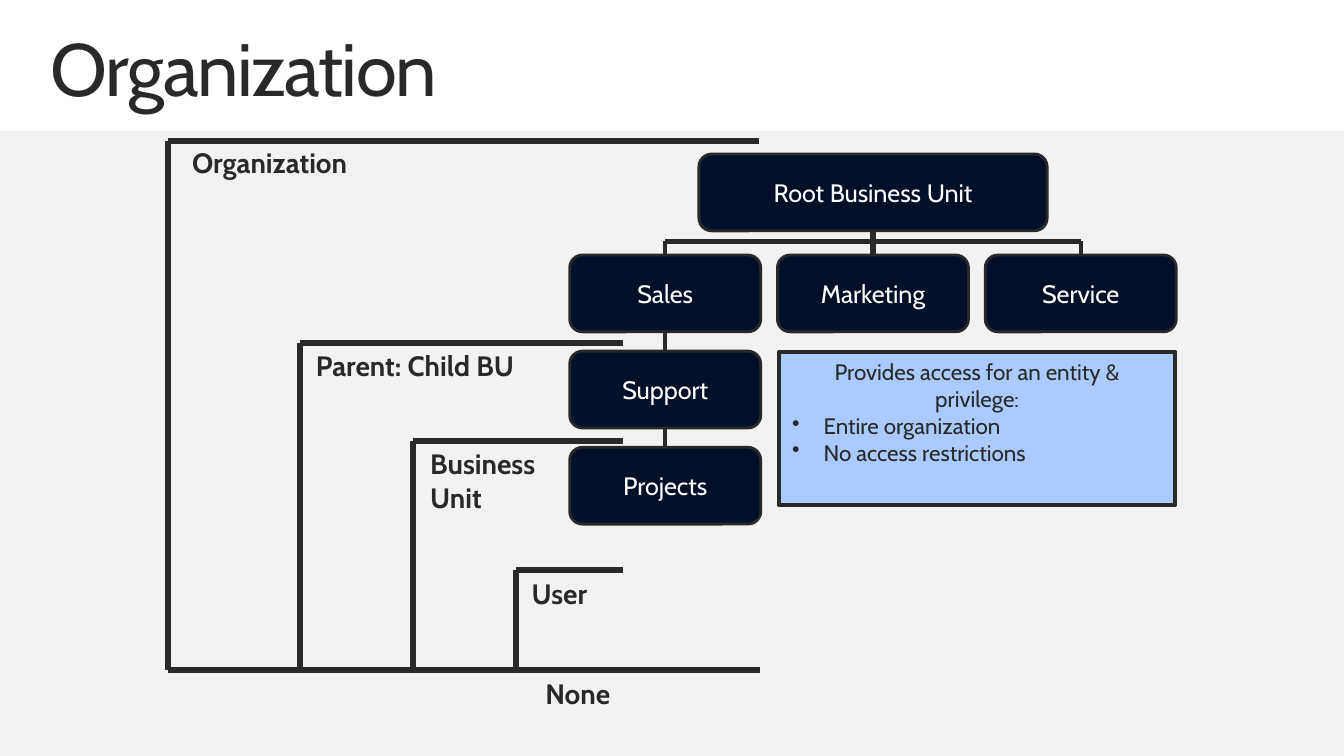
from lxml.etree import SubElement
from pptx import Presentation
from pptx.dml.color import RGBColor
from pptx.enum.shapes import MSO_CONNECTOR, MSO_SHAPE
from pptx.enum.text import MSO_ANCHOR, MSO_AUTO_SIZE, PP_ALIGN
from pptx.oxml.ns import qn
from pptx.util import Pt

INK = RGBColor(0x29, 0x29, 0x29)
NAVY = RGBColor(0x00, 0x10, 0x28)
SKY = RGBColor(0xA9, 0xCB, 0xFF)
PALE = RGBColor(0xF2, 0xF2, 0xF2)
WHITE = RGBColor(0xFF, 0xFF, 0xFF)


class SlideBuilder:
    font_name = "Cabin"

    def __init__(self, slide):
        self.slide = slide

    def apply(self, target, values):
        for name, value in values.items():
            setattr(target, name, value)

    def format_font(self, paragraph, size, color, bold=False):
        self.apply(paragraph.font, {"name": self.font_name, "size": Pt(size), "bold": bold})
        paragraph.font.color.rgb = color

    def title(self, text, left, top, width, height):
        title = self.slide.shapes.title
        self.apply(title, {"left": Pt(left), "top": Pt(top), "width": Pt(width), "height": Pt(height)})
        frame = title.text_frame
        self.apply(frame, {
            "text": text, "word_wrap": True, "auto_size": MSO_AUTO_SIZE.NONE,
            "vertical_anchor": MSO_ANCHOR.TOP, "margin_left": Pt(11.5),
            "margin_right": Pt(11.5), "margin_top": 0, "margin_bottom": 0,
        })
        paragraph = frame.paragraphs[0]
        self.apply(paragraph, {"alignment": PP_ALIGN.LEFT, "line_spacing": 0.9})
        self.format_font(paragraph, 39.7, INK)
        paragraph.runs[0].font._element.set("spc", "-80")

    def box(self, kind, left, top, width, height, fill, line_width=0):
        shape = self.slide.shapes.add_shape(kind, Pt(left), Pt(top), Pt(width), Pt(height))
        shape.shadow.inherit = False
        shape.fill.solid()
        shape.fill.fore_color.rgb = fill
        if line_width:
            shape.line.color.rgb = INK
            shape.line.width = Pt(line_width)
        else:
            shape.line.fill.background()
        return shape

    def unit(self, text, left, top, width, height):
        shape = self.box(MSO_SHAPE.ROUNDED_RECTANGLE, left, top, width, height, NAVY, 1.5)
        frame = shape.text_frame
        self.apply(frame, {"text": text, "vertical_anchor": MSO_ANCHOR.MIDDLE})
        frame.paragraphs[0].alignment = PP_ALIGN.CENTER
        self.format_font(frame.paragraphs[0], 13.5, WHITE)

    def line(self, start, end, width):
        connector = self.slide.shapes.add_connector(
            MSO_CONNECTOR.STRAIGHT, Pt(start[0]), Pt(start[1]), Pt(end[0]), Pt(end[1]))
        connector.line.color.rgb = INK
        connector.line.width = Pt(width)
        SubElement(connector._element.spPr, qn("a:effectLst"))

    def label(self, text, left, top, width, height):
        text_box = self.slide.shapes.add_textbox(Pt(left), Pt(top), Pt(width), Pt(height))
        frame = text_box.text_frame
        self.apply(frame, {"text": text, "word_wrap": True})
        self.format_font(frame.paragraphs[0], 15, INK, True)

    def callout(self, heading, bullets, left, top, width, height):
        shape = self.box(MSO_SHAPE.RECTANGLE, left, top, width, height, SKY, 2.25)
        frame = shape.text_frame
        self.apply(frame, {
            "text": "\n".join([heading, *bullets]), "word_wrap": True,
            "vertical_anchor": MSO_ANCHOR.TOP,
        })
        for index, paragraph in enumerate(frame.paragraphs):
            paragraph.alignment = PP_ALIGN.LEFT if index else PP_ALIGN.CENTER
            if index:
                properties = paragraph._p.get_or_add_pPr()
                properties.set("marL", str(Pt(16.9)))
                properties.set("indent", str(-Pt(16.9)))
                SubElement(properties, qn("a:buChar"), char="•")
            self.format_font(paragraph, 12, INK)


def main():
    presentation = Presentation()
    presentation.slide_width = Pt(720)
    presentation.slide_height = Pt(405)
    slide = presentation.slides.add_slide(presentation.slide_layouts[5])
    builder = SlideBuilder(slide)
    builder.box(MSO_SHAPE.RECTANGLE, 0, 70.3, 720, 334.7, PALE)
    builder.title("Organization", 15.8, 17.3, 688.4, 43.2)

    unit_width, unit_height = 102.4, 41.2
    column_left, column_step = 305.2, 111.3
    row_top, row_step = 136.6, 51.5
    root_top, root_width = 82.5, 186.6
    bus = 129.4
    centers = [column_left + unit_width / 2 + column_step * index for index in range(3)]
    first, middle, last = centers

    builder.line((middle, root_top + unit_height), (middle, row_top), 3)
    builder.line((first, bus), (last, bus), 2.25)
    for center in (first, last):
        builder.line((center, bus), (center, row_top), 2.25)
    builder.line((first, row_top + unit_height), (first, row_top + 2 * row_step), 2.25)

    builder.unit("Root Business Unit", middle - root_width / 2, root_top, root_width, unit_height)
    for index, name in enumerate(["Sales", "Marketing", "Service"]):
        builder.unit(name, column_left + column_step * index, row_top, unit_width, unit_height)
    for index, name in enumerate(["Support", "Projects"], 1):
        builder.unit(name, column_left, row_top + row_step * index, unit_width, unit_height)

    baseline = 359
    levels = [
        ("Organization", 90, 75.5, 406.8, (95.8, 74.5, 107, 25)),
        ("Parent: Child BU", 160.6, 183.6, 333.8, (162.2, 183, 131, 25)),
        ("Business\vUnit", 221.2, 236.1, 333.8, (223.4, 235.8, 75.6, 44)),
        ("User", 276.4, 305.5, 333.8, (277.7, 305.5, 46.8, 25)),
    ]
    builder.line((90, baseline), (407.2, baseline), 3)
    for name, left, top, right, label_place in levels:
        builder.line((left, baseline), (left, top), 3)
        builder.line((left, top), (right, top), 3)
        builder.label(name, *label_place)
    builder.label("None", 285.1, baseline, 53.3, 25)

    builder.callout(
        "Provides access for an entity & privilege:",
        ["Entire organization", "No access restrictions"],
        417.3, 188.5, 212.4, 82)
    presentation.save("out.pptx")


if __name__ == "__main__":
    main()
